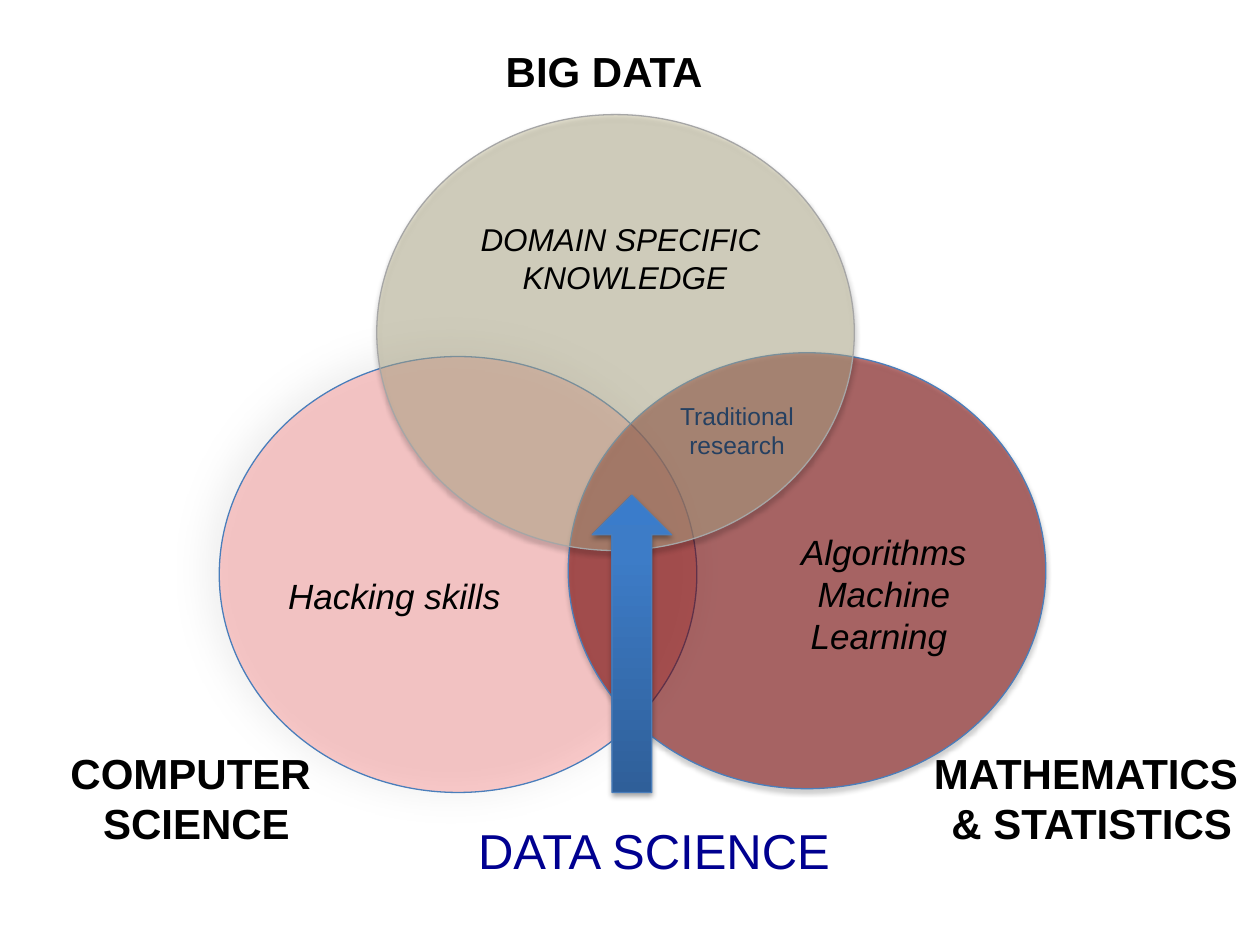
from dataclasses import dataclass

from lxml import etree
from pptx import Presentation
from pptx import util as u
from pptx.dml.color import RGBColor
from pptx.enum import shapes, text
from pptx.oxml import ns


@dataclass(frozen=True)
class Theme:
    font: str = "Arial"
    ink: str = "000000"
    navy: str = "000090"
    slate: str = "254061"
    edge: str = "4A7EBB"
    gray: str = "A6A6A6"
    red: str = "FF0000"
    wine: str = "800000"
    sand: str = "C4BD97"
    ramp: tuple = ((0, "2F5F99"), (80, "3D7CC7"), (100, "3A7CCB"))
    soft: tuple = (33, 22, 5, 210)
    firm: tuple = (35, 3.1, 1.8, 90)
    big: int = 28
    head: int = 24
    skill: int = 20
    field: int = 18
    note: int = 14


T = Theme()
DISC = (3.79, 3.46)
HEAD = {"size": T.head, "color": T.ink, "bold": True}
SKILL = {"size": T.skill, "color": T.ink, "italic": True}
FIELD = {**SKILL, "size": T.field}
NOTE = {"size": T.note, "color": T.slate}
MAIN = {"size": T.big, "color": T.navy}


def node(up, tag, **vals):
    return etree.SubElement(up, ns.qn(tag), {k: str(v) for k, v in vals.items()})


def tint(up, color, alpha):
    node(node(up, "a:srgbClr", val=color), "a:alpha", val=alpha * 1000)


def shade(shape, alpha, blur, dist, angle):
    shape.shadow.inherit = False
    fx = shape.element.spPr.find(ns.qn("a:effectLst"))
    drop = node(fx, "a:outerShdw", blurRad=u.Pt(blur), dist=u.Pt(dist),
                dir=angle * 60000, algn="ctr", rotWithShape=0)
    tint(drop, T.ink, alpha)


def form(slide, kind, box, edge, drop):
    shape = slide.shapes.add_shape(kind, *map(u.Inches, box))
    shape.line.color.rgb = RGBColor.from_string(edge)
    shape.line.width = u.Pt(0.75)
    shade(shape, *drop)
    return shape


def disc(slide, left, top, color, alpha, edge, drop):
    shape = form(slide, shapes.MSO_SHAPE.OVAL, (left, top, *DISC), edge, drop)
    shape.fill.solid()
    shape.fill.fore_color.rgb = RGBColor.from_string(color)
    paint = shape.element.spPr.find(ns.qn("a:solidFill"))
    node(paint[0], "a:alpha", val=alpha * 1000)


def arrow(slide, box):
    shape = form(slide, shapes.MSO_SHAPE.UP_ARROW, box, T.edge, T.firm)
    shape.fill.gradient()
    shape.fill.gradient_angle = 90
    stops = shape.element.spPr.find(ns.qn("a:gradFill")).find(ns.qn("a:gsLst"))
    for old in list(stops):
        stops.remove(old)
    for pos, color in T.ramp:
        tint(node(stops, "a:gs", pos=pos * 1000), color, 100)


def label(slide, box, lines, style, wrap=False):
    frame = slide.shapes.add_textbox(*map(u.Inches, box)).text_frame
    frame.word_wrap = wrap
    frame.text = "\n".join(lines)
    look = {"name": T.font, **style, "size": u.Pt(style["size"])}
    color = RGBColor.from_string(look.pop("color"))
    for para in frame.paragraphs:
        para.alignment = text.PP_ALIGN.CENTER
        for run in para.runs:
            for key, val in look.items():
                setattr(run.font, key, val)
            run.font.color.rgb = color


def main():
    deck = Presentation()
    deck.slide_width, deck.slide_height = u.Inches(10), u.Inches(7.5)
    slide = deck.slides.add_slide(deck.slide_layouts[6])

    disc(slide, 1.74, 2.83, T.red, 19, T.edge, T.soft)
    disc(slide, 4.51, 2.8, T.wine, 52, T.edge, T.firm)
    label(slide, (1.9, 4.51, 2.46, 0.43), ["Hacking skills"], SKILL, True)
    label(slide, (5.85, 4.16, 2.33, 1.1),
          ["Algorithms", "Machine Learning "], SKILL, True)
    label(slide, (3.69, 6.46, 3, 0.57), ["DATA SCIENCE"], MAIN)
    disc(slide, 2.99, 0.91, T.sand, 45, T.gray, T.firm)
    arrow(slide, (4.7, 3.93, 0.63, 2.36))
    label(slide, (3.71, 1.7, 2.5, 0.7), ["DOMAIN SPECIFIC ", "KNOWLEDGE"], FIELD)
    label(slide, (7.16, 5.88, 3.01, 1.3), ["MATHEMATICS ", "& STATISTICS"], HEAD)
    label(slide, (0.36, 5.88, 2.4, 0.9), ["COMPUTER ", "SCIENCE"], HEAD)
    label(slide, (5.3, 3.13, 1.1, 0.8), ["Traditional ", "research"], NOTE, True)
    label(slide, (3.83, 0.31, 1.93, 0.5), ["BIG DATA"], HEAD)

    deck.save("out.pptx")


if __name__ == "__main__":
    main()
